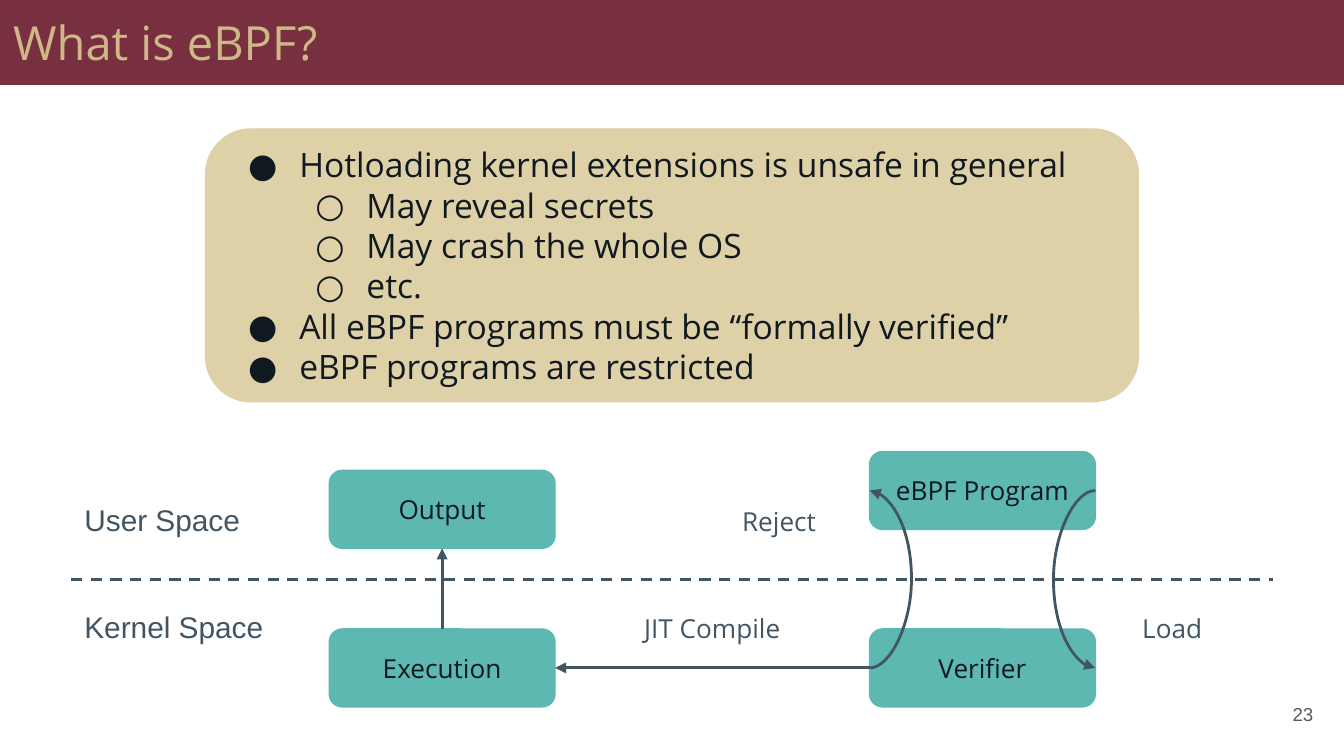
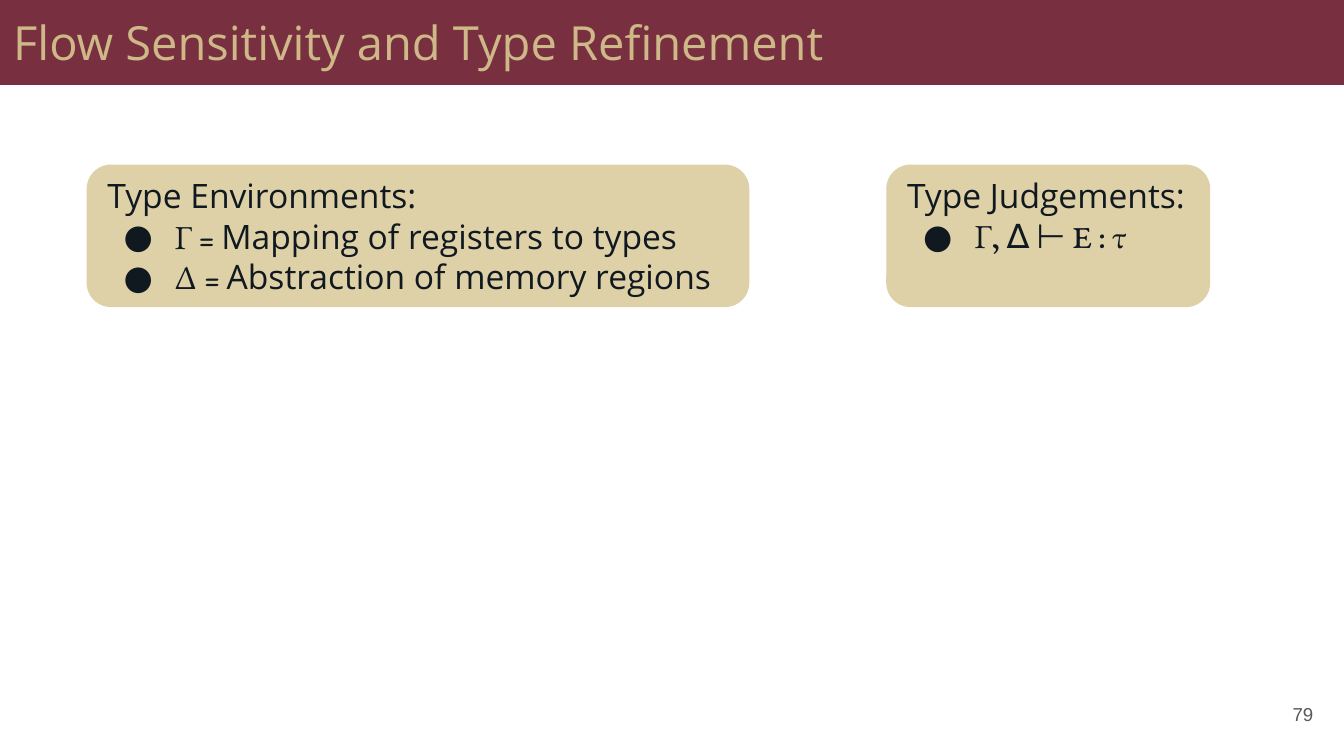
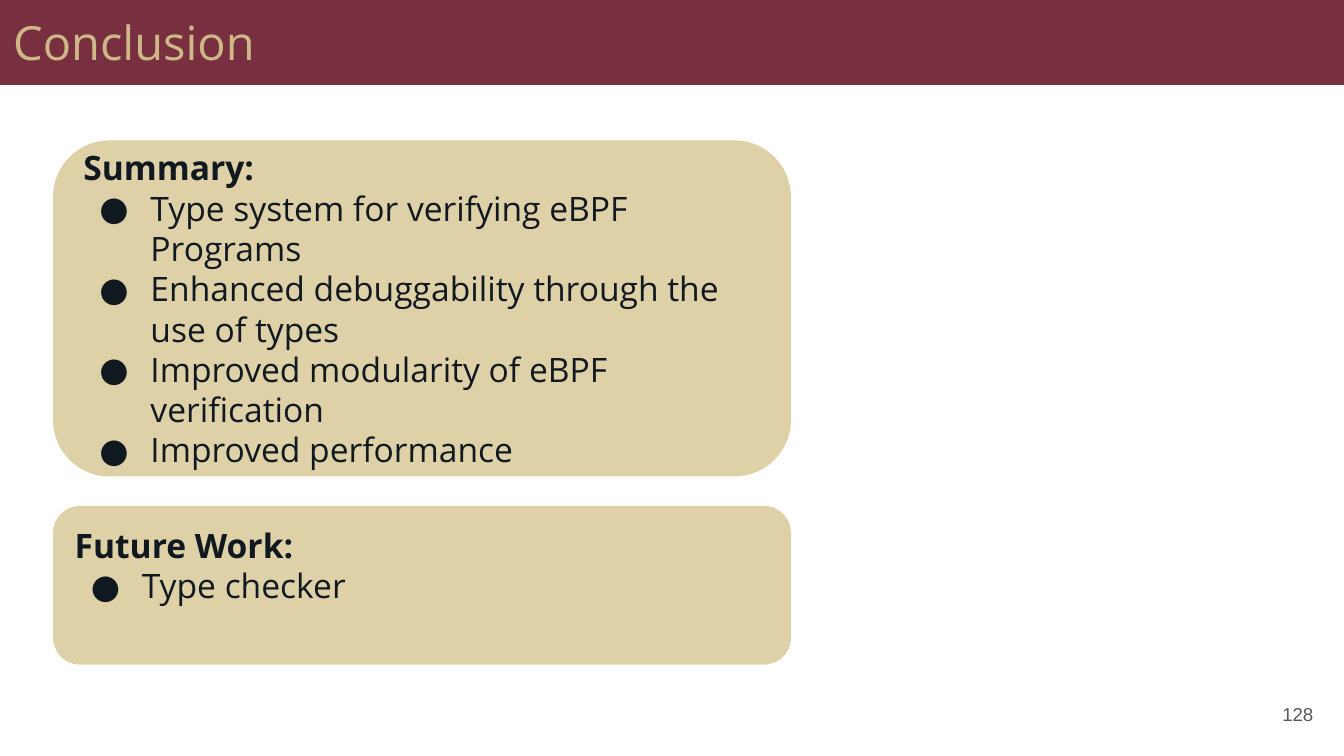
from collections import namedtuple
from lxml.etree import SubElement
from pptx import Presentation
from pptx.dml.color import RGBColor
from pptx.enum.dml import MSO_LINE
from pptx.enum.shapes import MSO_CONNECTOR, MSO_SHAPE
from pptx.enum.text import MSO_ANCHOR, PP_ALIGN
from pptx.oxml.ns import qn
from pptx.util import Emu, Inches, Pt

COLS, ROWS = 100, 56.25
WIDE, HIGH = Inches(10), Inches(5.625)
Box = namedtuple("Box", "left top width height")

GARNET, GOLD, SAND, TEAL = "782F40", "CEB888", "DFD1A7", "5CB8B0"
INK, SLATE, GREY = "101820", "425563", "595959"

HEAD = {"name": "Open Sans", "size": Pt(25.2), "color": GOLD}
BODY = {"name": "Open Sans", "size": Pt(18), "color": INK}
BOLD = {**BODY, "bold": True}
MATH = {**BODY, "name": "EB Garamond"}
NODE = {**BODY, "size": Pt(14)}
NOTE = {**NODE, "color": SLATE}
SPACE = {"name": "Arial", "size": Pt(16), "color": SLATE}
PAGE = {"name": "Arial", "size": Pt(10), "color": GREY}

MARKS = "●○"
SITES = {"top": 0, "left": 1, "bottom": 2, "right": 3}


def tint(hue):
    """Turn a hex string into a colour."""
    return RGBColor.from_string(hue)


def inner(box, left, top, width, height):
    """Return a box placed inside another one."""
    return Box(box.left + left, box.top + top, width, height)


def scale(box):
    """Turn grid columns and rows into slide lengths."""
    return [Emu(round(n * unit)) for n, unit in
            zip(box, (WIDE / COLS, HIGH / ROWS) * 2)]


def style(font, look):
    """Apply a look to a font."""
    for key, value in look.items():
        if key == "color":
            font.color.rgb = tint(value)
        else:
            setattr(font, key, value)


def bullet(para, depth):
    """Give a paragraph a hanging bullet of the given depth."""
    para.level = depth - 1
    props = para._p.get_or_add_pPr()
    props.set("marL", str(Inches(0.5 * depth)))
    props.set("indent", str(Inches(-0.38)))
    SubElement(SubElement(props, qn("a:buClr")), qn("a:srgbClr"), val=INK)
    SubElement(props, qn("a:buFont"), typeface="Open Sans")
    SubElement(props, qn("a:buChar"), char=MARKS[depth - 1])


def write(shape, lines, align=PP_ALIGN.LEFT, anchor=MSO_ANCHOR.TOP, inset=0.1):
    """Write lines of (depth, runs) into a shape."""
    frame = shape.text_frame
    form = {"word_wrap": True, "vertical_anchor": anchor,
            "margin_left": Inches(0.1), "margin_right": Inches(0.1),
            "margin_top": Inches(inset), "margin_bottom": Inches(0.1)}
    for key, value in form.items():
        setattr(frame, key, value)
    for index, (depth, runs) in enumerate(lines):
        para = frame.add_paragraph() if index else frame.paragraphs[0]
        para.alignment = align
        if depth:
            bullet(para, depth)
        for text, look in runs:
            run = para.add_run()
            run.text = text
            style(run.font, look)


def block(slide, box, hue, kind=MSO_SHAPE.ROUNDED_RECTANGLE):
    """Add a flat shape filled and edged in one colour."""
    shape = slide.shapes.add_shape(kind, *scale(box))
    shape.shadow.inherit = False
    shape.fill.solid()
    shape.fill.fore_color.rgb = shape.line.color.rgb = tint(hue)
    shape.line.width = Pt(0.75)
    return shape


def label(slide, box, text, look, **form):
    """Add a text box with one line."""
    write(slide.shapes.add_textbox(*scale(box)), [(0, [(text, look)])], **form)


def panel(slide, box, lines, anchor=MSO_ANCHOR.MIDDLE, inset=0.1):
    """Add a sand panel of text lines."""
    write(block(slide, box, SAND), lines, anchor=anchor, inset=inset)


def node(slide, box, text):
    """Add a teal step of the flow."""
    shape = block(slide, box, TEAL)
    write(shape, [(0, [(text, NODE)])], PP_ALIGN.CENTER, MSO_ANCHOR.MIDDLE)
    return shape


def stroke(slide, kind, ends=(0, 0, 0, 0)):
    """Add a plain slate connector."""
    line = slide.shapes.add_connector(kind, *ends)
    line.line.color.rgb = tint(SLATE)
    line.line.width = Pt(1.5)
    SubElement(line.element.spPr, qn("a:effectLst"))
    return line


def arrow(slide, start, end, sites, tip="tailEnd", bulge=0):
    """Join two steps by an arrow, curved if it has a bulge."""
    kind = MSO_CONNECTOR.CURVE if bulge else MSO_CONNECTOR.STRAIGHT
    line = stroke(slide, kind)
    line.begin_connect(start, SITES[sites[0]])
    line.end_connect(end, SITES[sites[1]])
    props = line.element.spPr
    SubElement(props.find(qn("a:ln")), qn(f"a:{tip}"), type="triangle")
    if bulge:
        line.width = Emu(600)
        share = round(Inches(bulge) / line.width * 100000)
        guides = props.find(qn("a:prstGeom")).find(qn("a:avLst"))
        SubElement(guides, qn("a:gd"), name="adj1", fmla=f"val {share}")


def flow(slide, box):
    """Draw the path of a program between user and kernel space."""
    for text, top in (("User Space", 2.7), ("Kernel Space", 10.7)):
        label(slide, inner(box, 0, top, 15.6, 5.5), text, SPACE)
    spots = {"eBPF Program": (59.4, 0), "Verifier": (59.4, 13.2),
             "Execution": (19.2, 13.2), "Output": (19.2, 1.4)}
    source, check, execute, output = [
        node(slide, inner(box, *spot, 16.8, 5.8), text)
        for text, spot in spots.items()]
    arrow(slide, source, check, ("right", "right"), bulge=0.26)
    arrow(slide, source, check, ("left", "left"), "headEnd", -0.26)
    arrow(slide, check, execute, ("left", "right"))
    arrow(slide, execute, output, ("top", "bottom"))
    left, top, width, _ = scale(inner(box, 0, 9.5, box.width, 0))
    border = stroke(slide, MSO_CONNECTOR.STRAIGHT, (left, top, left + width, top))
    border.line.dash_style = MSO_LINE.DASH
    for text, left, top, width, align in (
            ("Reject", 47.3, 3, 9.1, PP_ALIGN.RIGHT),
            ("JIT Compile", 41, 11, 13.4, PP_ALIGN.CENTER),
            ("Load", 78.7, 11, 9.1, PP_ALIGN.LEFT)):
        label(slide, inner(box, left, top, width, 4.9), text, NOTE, align=align)


def points(*texts, depth=1):
    """Make plain bullet lines."""
    return [(depth, [(text, BODY)]) for text in texts]


def topic(text, look=BODY):
    """Make a heading line."""
    return [(0, [(text, look)])]


def page(deck, title, number):
    """Add a blank slide with its title band and number."""
    slide = deck.slides.add_slide(deck.slide_layouts[6])
    band = block(slide, Box(0, 0, COLS, 6.3), GARNET, MSO_SHAPE.RECTANGLE)
    write(band, topic(title, HEAD))
    label(slide, Box(92.7, 51, 6, 4.3), str(number), PAGE,
          align=PP_ALIGN.RIGHT, anchor=MSO_ANCHOR.MIDDLE)
    return slide


def intro(deck):
    """Build the slide that explains eBPF."""
    slide = page(deck, "What is eBPF?", 23)
    panel(slide, Box(15.3, 9.6, 69.4, 20.3),
          points("Hotloading kernel extensions is unsafe in general")
          + points("May reveal secrets", "May crash the whole OS", "etc.", depth=2)
          + points("All eBPF programs must be “formally verified”",
                   "eBPF programs are restricted"))
    flow(slide, Box(5.3, 33.6, 89.4, 19))


def typing(deck):
    """Build the slide on type refinement."""
    slide = page(deck, "Flow Sensitivity and Type Refinement", 79)
    terms = [(1, [(sign, MATH), (text, BODY)]) for sign, text in (
        ("Γ = ", "Mapping of registers to types"),
        ("Δ = ", "Abstraction of memory regions"))]
    panel(slide, Box(6.5, 12.3, 49.2, 10.5), topic("Type Environments:") + terms)
    panel(slide, Box(66, 12.3, 24, 10.5),
          topic("Type Judgements:") + [(1, [("Γ, ∆ ⊢ E : τ", MATH)])],
          MSO_ANCHOR.TOP, 0.02)


def closing(deck):
    """Build the slide with summary and future work."""
    slide = page(deck, "Conclusion", 128)
    panel(slide, Box(4, 10.5, 54.8, 24.9), topic("Summary:", BOLD) + points(
        "Type system for verifying eBPF Programs",
        "Enhanced debuggability through the use of types",
        "Improved modularity of eBPF verification",
        "Improved performance"))
    panel(slide, Box(4, 37.7, 54.8, 11.7),
          topic("Future Work:", BOLD) + points("Type checker"),
          MSO_ANCHOR.TOP, 0.08)


def main():
    """Build and save the deck."""
    deck = Presentation()
    deck.slide_width, deck.slide_height = WIDE, HIGH
    for build in (intro, typing, closing):
        build(deck)
    deck.save("out.pptx")


if __name__ == "__main__":
    main()
